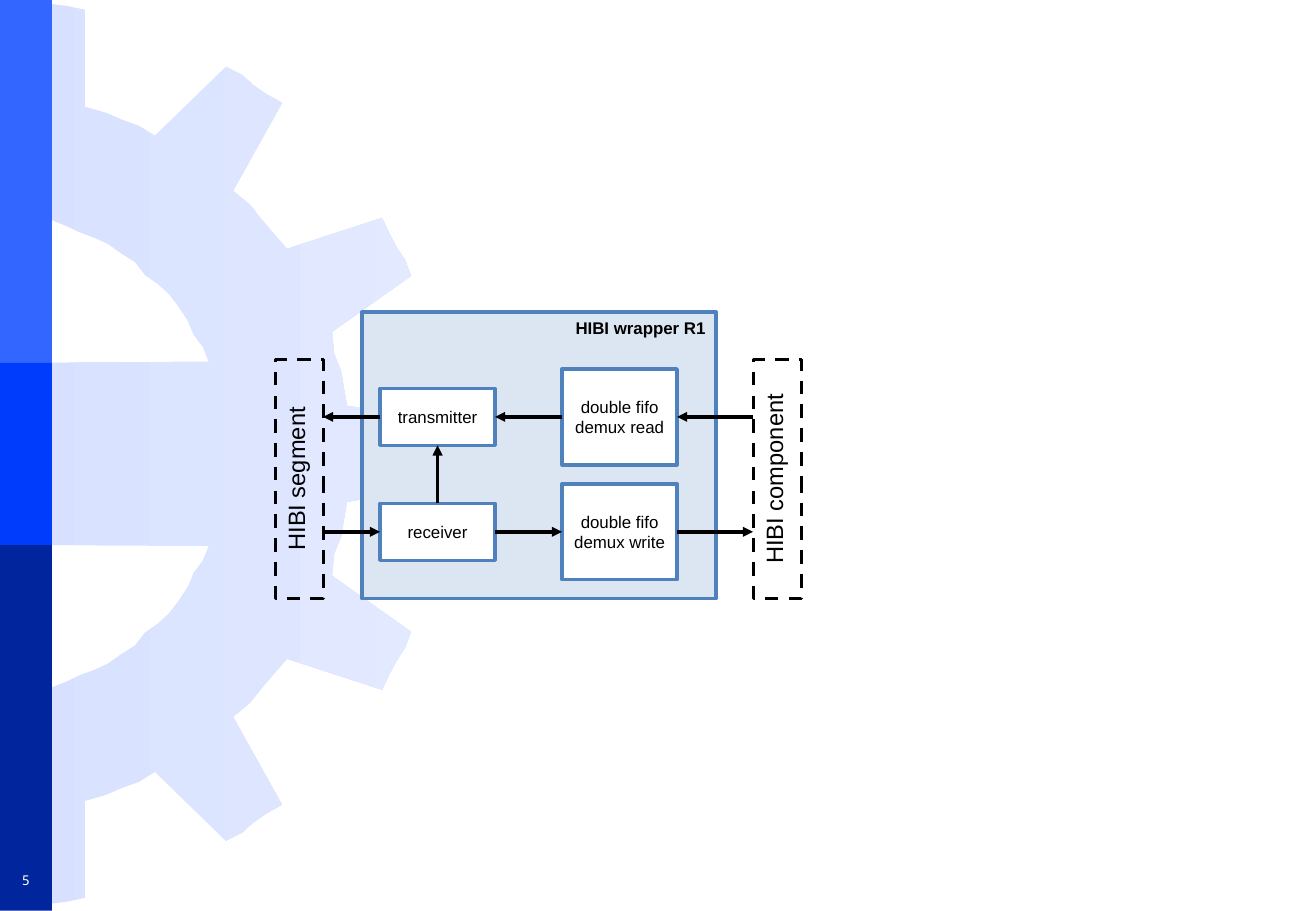
from lxml.etree import SubElement
from pptx import Presentation
from pptx.dml.color import RGBColor
from pptx.enum.dml import MSO_LINE
from pptx.enum.shapes import MSO_CONNECTOR, MSO_SHAPE
from pptx.enum.text import MSO_ANCHOR, PP_ALIGN
from pptx.oxml.ns import qn
from pptx.util import Emu, Inches, Pt

EMU_PER_PIXEL = 914400 / 121.5

BLACK = RGBColor(0x00, 0x00, 0x00)
WHITE = RGBColor(0xFF, 0xFF, 0xFF)
OUTLINE_BLUE = RGBColor(0x4F, 0x81, 0xBD)
WRAPPER_BLUE = RGBColor(0xDC, 0xE6, 0xF2)
GEAR_LEFT = RGBColor(0xD7, 0xE1, 0xFF)
GEAR_RIGHT = RGBColor(0xE3, 0xEA, 0xFF)
BAND_LIGHT = RGBColor(0x33, 0x66, 0xFF)
BAND_MIDDLE = RGBColor(0x00, 0x3C, 0xFC)
BAND_DARK = RGBColor(0x00, 0x25, 0x9C)

GEAR_AXIS = 454
GEAR_UPPER_HALF = [
    (450, 454), (450, 436), (446, 422), (347, 406), (344, 389), (341, 371),
    (334, 354), (332, 332), (411, 276), (405, 260), (397, 248), (389, 233),
    (382, 218), (287, 249), (273, 233), (261, 219), (250, 205), (233, 191),
    (282, 103), (266, 94), (253, 85), (242, 75), (226, 67), (155, 136),
    (139, 126), (122, 120), (106, 113), (85, 107), (85, 10), (67, 6),
    (51, 4), (35, 1), (17, 0), (17, 214), (34, 219), (51, 220),
    (66, 226), (79, 232), (95, 238), (108, 244), (122, 254), (135, 262),
    (145, 275), (158, 284), (169, 294), (179, 307), (188, 321), (194, 335),
    (203, 347), (209, 362), (0, 363),
]

UPPER_LANE, LOWER_LANE = 417, 532
SEGMENT_EDGE, COMPONENT_EDGE = 323, 753
CONTROL_LEFT, FIFO_LEFT, BLOCK_WIDTH = 380, 562, 115
CONTROL_HEIGHT, FIFO_HEIGHT = 57, 96


def px(*lengths):
    """Turn pixel lengths into EMU."""
    return [Emu(round(length * EMU_PER_PIXEL)) for length in lengths]


def write(shape, text, size, color=BLACK, font="Arial", bold=False,
          align=PP_ALIGN.CENTER, anchor=MSO_ANCHOR.MIDDLE, wrap=True):
    """Put one formatted paragraph into a shape."""
    frame = shape.text_frame
    frame.text = text
    frame.word_wrap = wrap
    frame.vertical_anchor = anchor
    paragraph = frame.paragraphs[0]
    paragraph.alignment = align
    style = paragraph.runs[0].font
    style.name, style.size, style.bold = font, Pt(size), bold
    style.color.rgb = color


def add_box(shapes, bounds, fill=None, outline=None):
    """Add a rectangle with optional fill and outline."""
    box = shapes.add_shape(MSO_SHAPE.RECTANGLE, *px(*bounds))
    box.shadow.inherit = False
    if fill is None:
        box.fill.background()
    else:
        box.fill.solid()
        box.fill.fore_color.rgb = fill
    if outline is None:
        box.line.fill.background()
    else:
        box.line.color.rgb = outline
        box.line.width = Pt(2)
    return box


def add_label(shapes, bounds, text, size, **style):
    """Add a free-standing text box."""
    label = shapes.add_textbox(*px(*bounds))
    write(label, text, size, **style)
    return label


def add_gear(shapes):
    """Add the half gear, its lower half mirrored from the upper one."""
    lower_half = [(x, 2 * GEAR_AXIS - y) for x, y in reversed(GEAR_UPPER_HALF)]
    outline = GEAR_UPPER_HALF + lower_half
    builder = shapes.build_freeform(*outline[0], scale=EMU_PER_PIXEL)
    builder.add_line_segments(outline[1:], close=True)
    gear = builder.convert_to_shape()
    gear.shadow.inherit = False
    gear.line.fill.background()
    gear.fill.gradient()
    gear.fill.gradient_angle = 0
    for stop, color in zip(gear.fill.gradient_stops, (GEAR_LEFT, GEAR_RIGHT)):
        stop.color.rgb = color


def add_block(shapes, left, lane, height, text):
    """Add a wrapper block centred on a signal lane."""
    bounds = (left, lane - height / 2, BLOCK_WIDTH, height)
    write(add_box(shapes, bounds, WHITE, OUTLINE_BLUE), text, 10)


def add_arrow(shapes, start, end):
    """Add a straight arrow between two points."""
    arrow = shapes.add_connector(MSO_CONNECTOR.STRAIGHT, *px(*start, *end))
    arrow.line.color.rgb = BLACK
    arrow.line.width = Pt(2)
    SubElement(arrow.line._get_or_add_ln(), qn("a:tailEnd"), type="triangle")
    SubElement(arrow._element.spPr, qn("a:effectLst"))


def add_neighbour(shapes, left, text):
    """Add a dashed box turned to read upwards."""
    neighbour = add_box(shapes, (left, 455, 239, 48), outline=BLACK)
    neighbour.line.dash_style = MSO_LINE.DASH
    neighbour.rotation = 270
    write(neighbour, text, 14, anchor=MSO_ANCHOR.TOP, wrap=False)


def add_wrapper(shapes):
    """Add the titled wrapper background as one group."""
    wrapper = shapes.add_group_shape().shapes
    add_box(wrapper, (362, 312, 354, 287), WRAPPER_BLUE, OUTLINE_BLUE)
    title = add_label(wrapper, (386, 312, 329, 32), "HIBI wrapper R1", 10,
                      bold=True, align=PP_ALIGN.RIGHT)
    frame = title.text_frame
    frame.margin_left = frame.margin_right = Inches(0.08)
    frame.margin_top = frame.margin_bottom = Inches(0.04)


def main():
    """Build the slide and save it."""
    deck = Presentation()
    deck.slide_width, deck.slide_height = Inches(10.83), Inches(7.5)
    shapes = deck.slides.add_slide(deck.slide_layouts[6]).shapes

    add_gear(shapes)
    for top, height, color in ((0, 370, BAND_LIGHT), (542, 369, BAND_DARK),
                               (363, 182, BAND_MIDDLE)):
        add_box(shapes, (0, top, 52, height), color)
    add_label(shapes, (0, 864, 52, 32), "5", 8, color=WHITE,
              font="Noto Sans Mono", wrap=False)

    add_wrapper(shapes)
    for left, lane, height, text in (
        (CONTROL_LEFT, UPPER_LANE, CONTROL_HEIGHT, "transmitter"),
        (CONTROL_LEFT, LOWER_LANE, CONTROL_HEIGHT, "receiver"),
        (FIFO_LEFT, UPPER_LANE, FIFO_HEIGHT, "double fifo demux read"),
        (FIFO_LEFT, LOWER_LANE, FIFO_HEIGHT, "double fifo demux write"),
    ):
        add_block(shapes, left, lane, height, text)

    for left, right in ((SEGMENT_EDGE, CONTROL_LEFT),
                        (CONTROL_LEFT + BLOCK_WIDTH, FIFO_LEFT),
                        (FIFO_LEFT + BLOCK_WIDTH, COMPONENT_EDGE)):
        add_arrow(shapes, (right, UPPER_LANE), (left, UPPER_LANE))
        add_arrow(shapes, (left, LOWER_LANE), (right, LOWER_LANE))
    control_middle = CONTROL_LEFT + BLOCK_WIDTH / 2
    add_arrow(shapes, (control_middle, LOWER_LANE - CONTROL_HEIGHT / 2),
              (control_middle, UPPER_LANE + CONTROL_HEIGHT / 2))

    add_neighbour(shapes, 180, "HIBI segment")
    add_neighbour(shapes, 658, "HIBI component")
    deck.save("out.pptx")


main()
